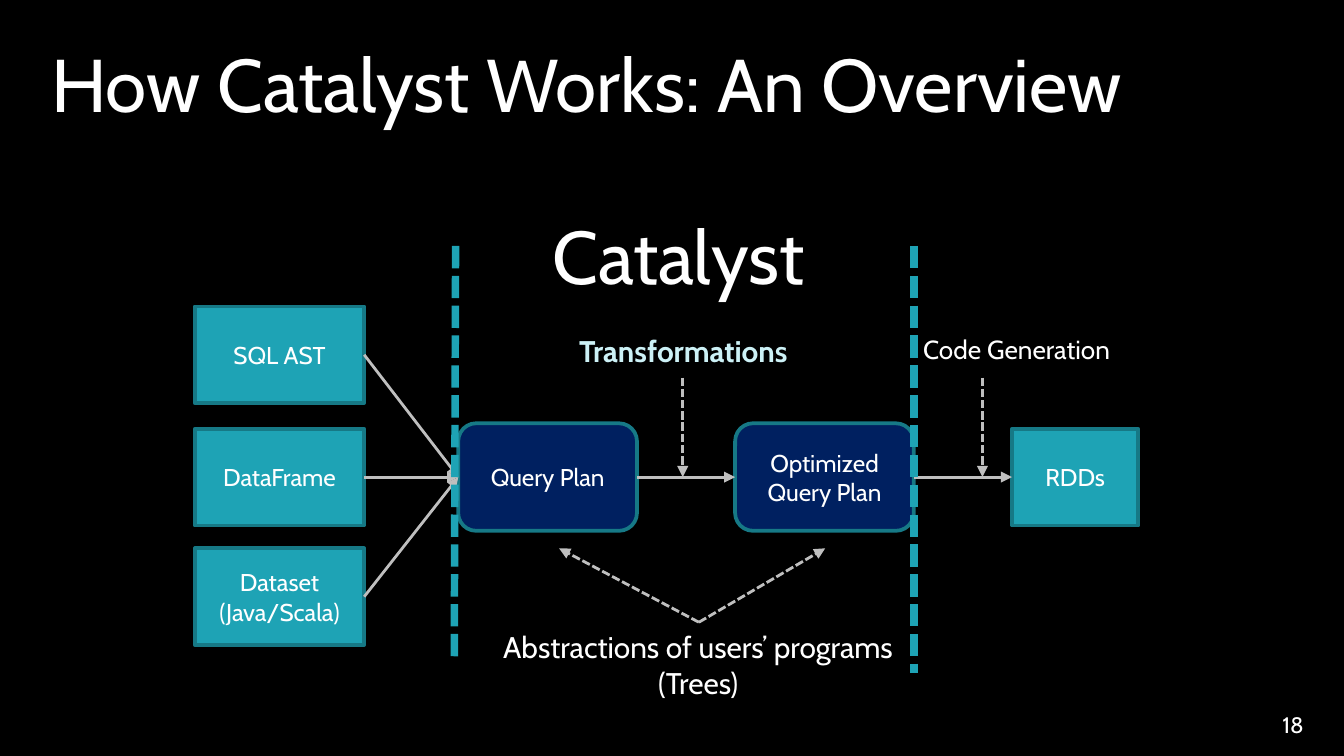
from lxml import etree
from pptx import Presentation
from pptx.dml.color import RGBColor
from pptx.enum.dml import MSO_LINE as DASH
from pptx.enum.shapes import MSO_CONNECTOR as CONN, MSO_SHAPE as SHAPE
from pptx.enum.text import MSO_ANCHOR as ANCHOR, MSO_AUTO_SIZE as AUTO, PP_ALIGN as ALIGN
from pptx.oxml.ns import qn
from pptx.util import Inches, Pt

BLACK = RGBColor(0x00, 0x00, 0x00)
WHITE = RGBColor(0xFF, 0xFF, 0xFF)
TEAL = RGBColor(0x1E, 0xA3, 0xB5)
DARK_TEAL = RGBColor(0x16, 0x79, 0x86)
NAVY = RGBColor(0x00, 0x20, 0x60)
PALE = RGBColor(0xCC, 0xF1, 0xF6)
GREY = RGBColor(0xBF, 0xBF, 0xBF)


def write(sp, text, size, align, anchor=ANCHOR.TOP, color=WHITE, bold=False):
    tf = sp.text_frame
    tf.text = text
    for name, value in {"word_wrap": True, "auto_size": AUTO.NONE,
                        "vertical_anchor": anchor}.items():
        setattr(tf, name, value)
    for p in tf.paragraphs:
        p.alignment = align
        for r in p.runs:
            for name, value in {"name": "Cabin", "size": Pt(size), "bold": bold}.items():
                setattr(r.font, name, value)
            r.font.color.rgb = color


def connect(x1, y1, x2, y2, color=GREY, width=1.5, dash=None, arrow=True):
    line = s.shapes.add_connector(CONN.STRAIGHT, *map(Inches, (x1, y1, x2, y2)))
    line.line.color.rgb = color
    line.line.width = Pt(width)
    if dash:
        line.line.dash_style = dash
    if arrow:
        etree.SubElement(line.line._get_or_add_ln(), qn("a:tailEnd"), type="triangle")
    etree.SubElement(line._element.spPr, qn("a:effectLst"))


prs = Presentation()
prs.slide_width = Inches(10)
prs.slide_height = prs.slide_width * 9 // 16
s = prs.slides.add_slide(prs.slide_layouts[5])
s.background.fill.solid()
s.background.fill.fore_color.rgb = BLACK

title = s.shapes.title
title.left, title.top, title.width, title.height = map(Inches, (0.28, 0.23, 9.36, 0.94))
write(title, "How Catalyst Works: An Overview", 40, ALIGN.LEFT)

mid_y = 3.55
source_right, plan_left, plan_right = 2.71, 3.41, 4.74
opt_left, opt_right, rdd_left = 5.47, 6.8, 7.53

boxes = [
    ("SQL AST", 1.45, 2.28, 1.26, 0.72, SHAPE.RECTANGLE, TEAL),
    ("DataFrame", 1.45, 3.19, 1.26, 0.72, SHAPE.RECTANGLE, TEAL),
    ("Dataset\n(Java/Scala)", 1.45, 4.08, 1.26, 0.72, SHAPE.RECTANGLE, TEAL),
    ("Query Plan", plan_left, 3.15, 1.33, 0.8, SHAPE.ROUNDED_RECTANGLE, NAVY),
    ("Optimized Query Plan", opt_left, 3.15, 1.33, 0.8, SHAPE.ROUNDED_RECTANGLE, NAVY),
    ("RDDs", rdd_left, 3.19, 0.94, 0.72, SHAPE.RECTANGLE, TEAL),
]
for text, x, y, w, h, kind, fill in boxes:
    sp = s.shapes.add_shape(kind, *map(Inches, (x, y, w, h)))
    sp.shadow.inherit = False
    sp.fill.solid()
    sp.fill.fore_color.rgb = fill
    sp.line.color.rgb = DARK_TEAL
    sp.line.width = Pt(2)
    for side in ("left", "right", "top", "bottom"):
        setattr(sp.text_frame, f"margin_{side}", 0)
    write(sp, text, 13, ALIGN.CENTER, ANCHOR.MIDDLE)

for y in (2.64, 4.44, mid_y):
    connect(source_right, y, plan_left, mid_y)
for x1, x2 in ((plan_right, opt_left), (opt_right, rdd_left)):
    connect(x1, mid_y, x2, mid_y)
for x in (5.08, 7.31):
    connect(x, 2.81, x, mid_y, dash=DASH.SQUARE_DOT)
for x1, x2, bottom in ((3.39, 3.38, 4.91), (opt_right, opt_right, 5.01)):
    connect(x1, 1.83, x2, bottom, TEAL, 4, DASH.SQUARE_DOT, False)
for x in (4.16, 6.14):
    connect(5.2, 4.63, x, 4.08, dash=DASH.SQUARE_DOT)

labels = [
    ("Catalyst", 4.01, 1.51, 2.3, 0.8, 40, ALIGN.LEFT, WHITE, False),
    ("Transformations", 4.15, 2.43, 1.87, 0.37, 16, ALIGN.CENTER, PALE, True),
    ("Code Generation", 6.77, 2.43, 1.61, 0.34, 14, ALIGN.LEFT, WHITE, False),
    ("Abstractions of users’ programs\n(Trees)", 3.61, 4.63, 3.17, 0.64, 16,
     ALIGN.CENTER, WHITE, False),
    ("18", 9.24, 5.24, 0.56, 0.3, 12, ALIGN.RIGHT, WHITE, False),
]
for text, x, y, w, h, size, align, color, bold in labels:
    sp = s.shapes.add_textbox(*map(Inches, (x, y, w, h)))
    write(sp, text, size, align, color=color, bold=bold)

prs.save("out.pptx")
